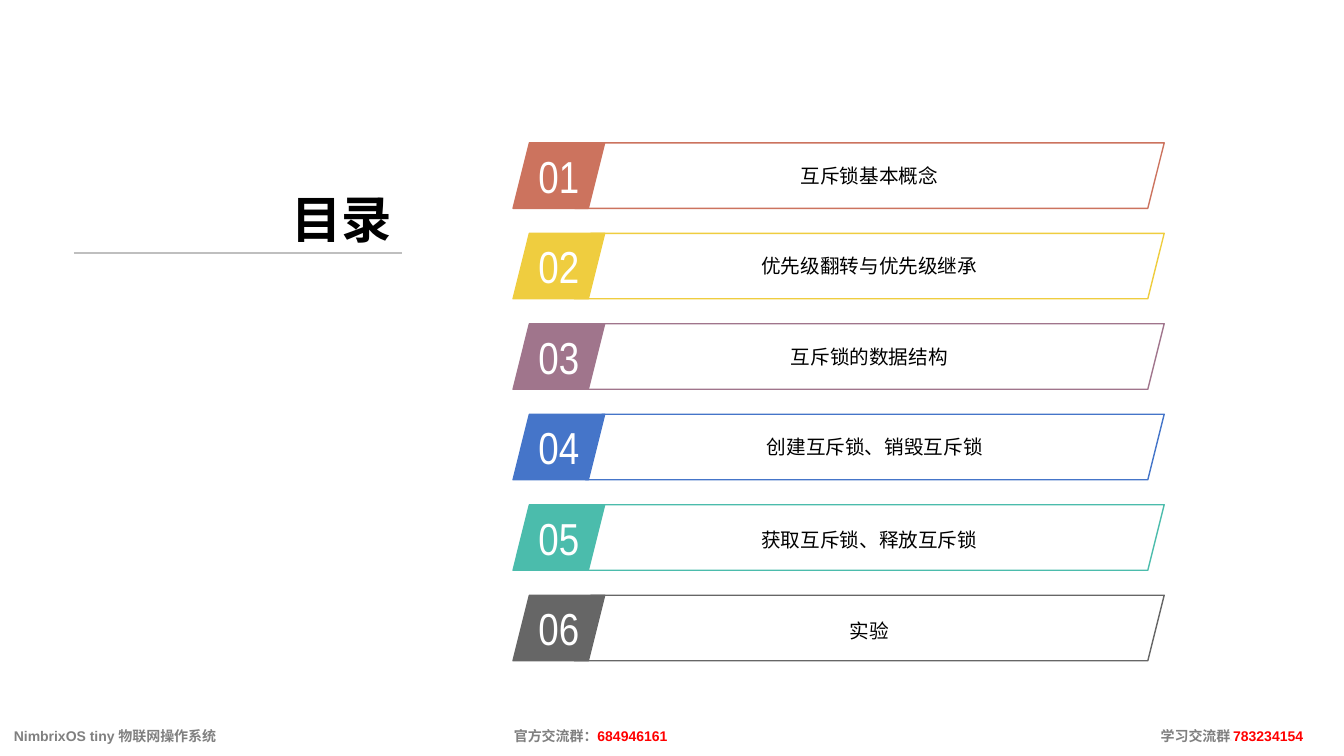
from dataclasses import dataclass

from lxml.etree import SubElement
from pptx import Presentation
from pptx.dml.color import RGBColor
from pptx.enum.shapes import MSO_CONNECTOR, MSO_SHAPE
from pptx.enum.text import MSO_ANCHOR, MSO_AUTO_SIZE, PP_ALIGN
from pptx.oxml.ns import qn
from pptx.util import Cm, Pt

COLORS = {
    "coral": "CC735E", "yellow": "EFCD3F", "plum": "A0758C",
    "blue": "4575C9", "teal": "4BBCAC", "charcoal": "666666",
    "black": "000000", "white": "FFFFFF", "gray": "808080",
    "rule": "BFBFBF", "red": "FF0000",
}
TOP, PITCH, HEIGHT = 3.6, 2.28, 1.65
NUMBER_LEFT, NUMBER_WIDTH = 12.93, 2.31
LABEL_RIGHT = 29.34


@dataclass
class Chapter:
    label: str
    color: str
    left: float = 14.48
    spacing: float = 1.0


CHAPTERS = [
    Chapter("互斥锁基本概念", "coral"),
    Chapter("优先级翻转与优先级继承", "yellow"),
    Chapter("互斥锁的数据结构", "plum"),
    Chapter("创建互斥锁、销毁互斥锁", "blue", left=14.76),
    Chapter("获取互斥锁、释放互斥锁", "teal", spacing=1.2),
    Chapter("实验", "charcoal", spacing=1.2),
]


def rgb(name: str) -> RGBColor:
    return RGBColor.from_string(COLORS[name])


def add_text(p, text: str, *, size: float, color: str = "black",
             font: str = "Arial", bold: bool = False) -> None:
    r = p.add_run()
    r.text = text
    r.font.size = Pt(size)
    r.font.name = font
    r.font.bold = bold
    r.font.color.rgb = rgb(color)


def add_bar(s, left: float, top: float, width: float, color: str, filled: bool):
    sp = s.shapes.add_shape(MSO_SHAPE.PARALLELOGRAM,
                            Cm(left), Cm(top), Cm(width), Cm(HEIGHT))
    sp.shadow.inherit = False
    if filled:
        sp.fill.solid()
        sp.fill.fore_color.rgb = rgb(color)
    else:
        sp.fill.background()
    sp.line.color.rgb = rgb(color)
    sp.line.width = Pt(1)
    tf = sp.text_frame
    tf.vertical_anchor = MSO_ANCHOR.MIDDLE
    tf.word_wrap = not filled
    p = tf.paragraphs[0]
    p.alignment = PP_ALIGN.CENTER
    return p


def add_chapter(s, index: int, chapter: Chapter) -> None:
    top = TOP + index * PITCH
    p = add_bar(s, NUMBER_LEFT, top, NUMBER_WIDTH, chapter.color, True)
    add_text(p, f"{index + 1:02}", size=32, color="white", font="Arial Narrow")
    p = add_bar(s, chapter.left, top, LABEL_RIGHT - chapter.left, chapter.color, False)
    p.line_spacing = chapter.spacing
    add_text(p, chapter.label, size=14)


def add_title(s) -> None:
    title = s.shapes.title
    title.left, title.top, title.width, title.height = Cm(4.06), Cm(3.6), Cm(6.07), Cm(2.8)
    tf = title.text_frame
    tf.auto_size = MSO_AUTO_SIZE.NONE
    tf.word_wrap = True
    tf.vertical_anchor = MSO_ANCHOR.BOTTOM
    p = tf.paragraphs[0]
    p.alignment = PP_ALIGN.RIGHT
    add_text(p, "目录", size=36, bold=True)


def add_rule(s) -> None:
    line = s.shapes.add_connector(MSO_CONNECTOR.STRAIGHT,
                                  Cm(1.86), Cm(6.38), Cm(10.12), Cm(6.38))
    line.line.color.rgb = rgb("rule")
    line.line.width = Pt(1.5)
    SubElement(line._element.spPr, qn("a:effectLst"))


def add_footer(s, width: int) -> None:
    tf = s.shapes.add_textbox(0, Cm(18.03), width, Cm(1.02)).text_frame
    tf.word_wrap = True
    tf.vertical_anchor = MSO_ANCHOR.MIDDLE
    tf.margin_left = Cm(0.35)
    p = tf.paragraphs[0]
    tabs = SubElement(p._p.get_or_add_pPr(), qn("a:tabLst"))
    for pos in (12.6, 28.9):
        SubElement(tabs, qn("a:tab"), pos=str(Cm(pos)), algn="l")
    for text, color, size in (
        ("NimbrixOS tiny 物联网操作系统\t官方交流群：", "gray", 10),
        ("684946161\t", "red", 10),
        ("学习交流群", "gray", 10),
        ("：", "gray", 2),
        ("783234154", "red", 10),
    ):
        add_text(p, text, size=size, color=color, bold=True)


def main() -> None:
    prs = Presentation()
    prs.slide_width, prs.slide_height = Cm(33.87), Cm(19.05)
    s = prs.slides.add_slide(prs.slide_layouts[5])
    for index, chapter in enumerate(CHAPTERS):
        add_chapter(s, index, chapter)
    add_rule(s)
    add_title(s)
    add_footer(s, prs.slide_width)
    prs.save("out.pptx")


if __name__ == "__main__":
    main()
